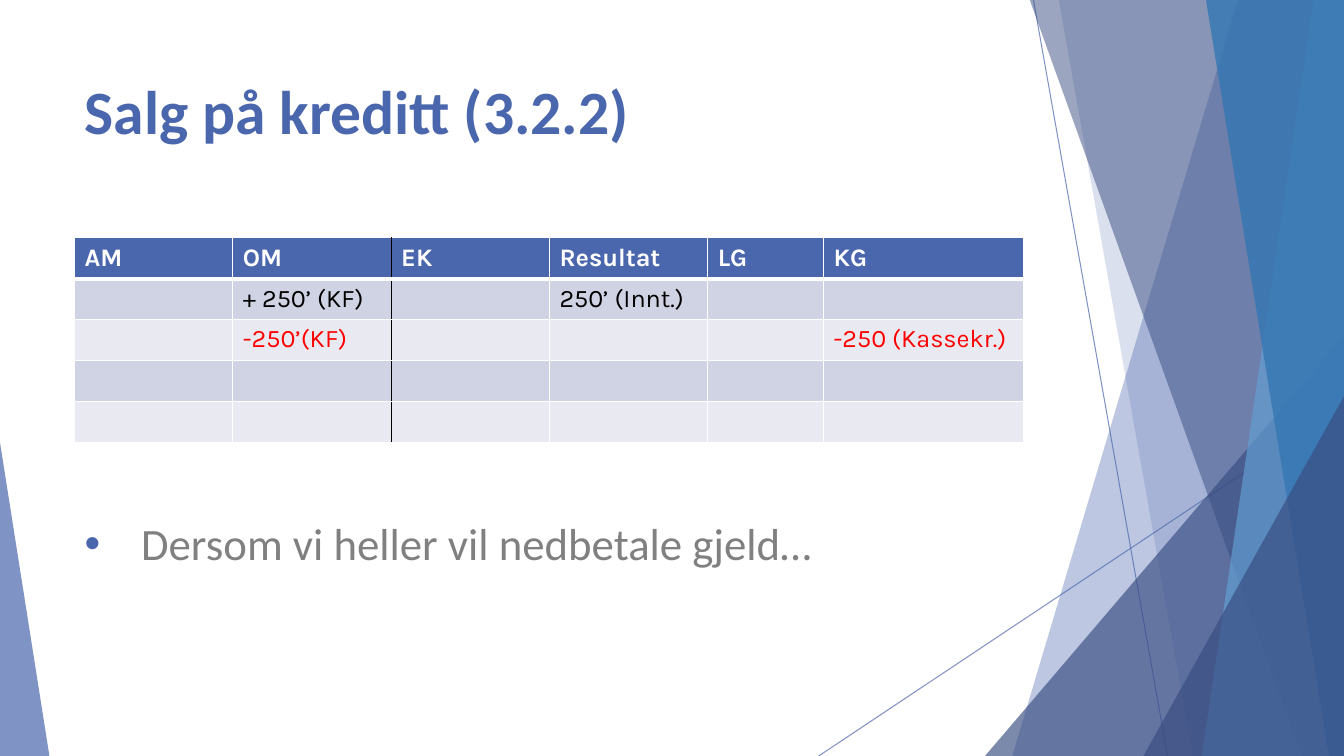
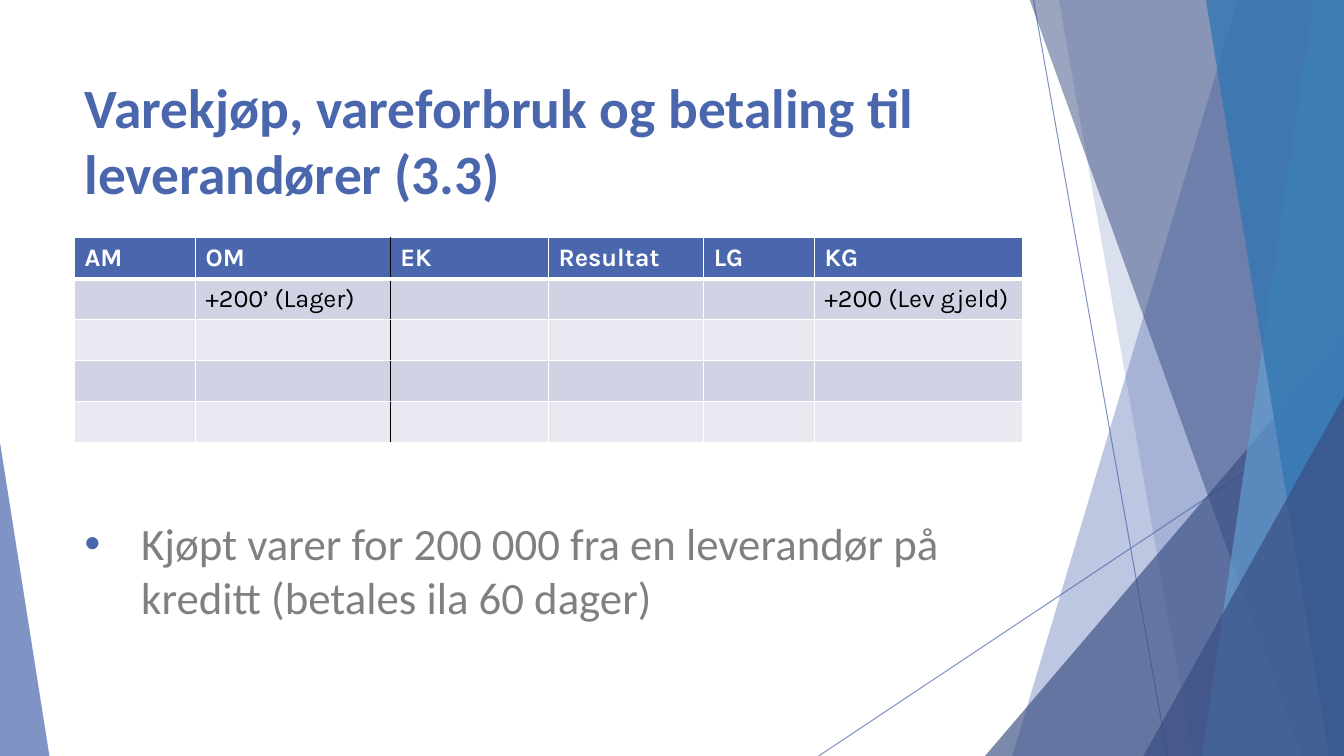
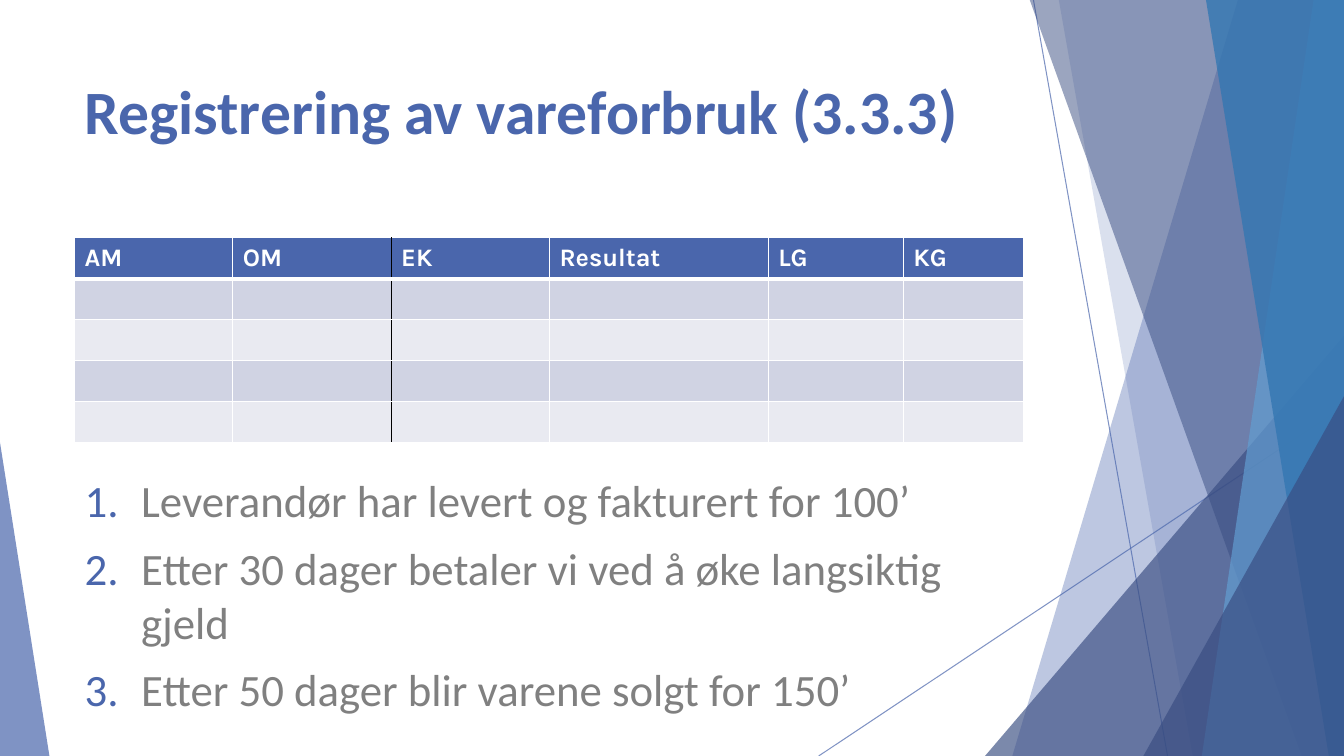
from dataclasses import dataclass

from lxml import etree
from pptx import Presentation
from pptx.dml.color import RGBColor
from pptx.enum.shapes import MSO_CONNECTOR, MSO_SHAPE
from pptx.enum.text import MSO_ANCHOR, MSO_AUTO_SIZE, PP_ALIGN
from pptx.oxml.ns import qn
from pptx.util import Pt

STRAIGHT = MSO_CONNECTOR.STRAIGHT
TRIANGLE = MSO_SHAPE.ISOSCELES_TRIANGLE
NO_AUTOFIT = MSO_AUTO_SIZE.NONE
TOP = MSO_ANCHOR.TOP
LEFT = PP_ALIGN.LEFT

PX = 9144  # EMU per px, 100 px to the inch
WIDTH, HEIGHT = 1333, 750
MARGIN, CONTENT_WIDTH = 74, 940
LIST_INDENT = 56
TABLE_TOP, TABLE_HEIGHT, ROW_COUNT = 236, 203, 5
ACCOUNTS = ["AM", "OM", "EK", "Resultat", "LG", "KG"]
ASSET_COUNT = 2  # columns left of the black divider


@dataclass(frozen=True)
class Theme:
    blue: str = "4A66AC"
    navy: str = "384C81"
    sky: str = "629DD1"
    ocean: str = "3477B2"
    grey: str = "808080"
    white: str = "FFFFFF"
    black: str = "000000"
    red: str = "FF0000"
    odd_row: str = "D0D3E3"
    even_row: str = "E9EAF1"
    text_font: str = "Calibri"
    table_font: str = "Karla"
    bullet_font: str = "Arial"
    title_size: float = 44
    long_title_size: float = 39.6
    list_size: float = 32
    table_size: float = 18
    list_gap: float = 10
    hairline: float = 0.75
    border: float = 1
    header_border: float = 3


THEME = Theme()


def rgb(colour):
    return RGBColor.from_string(colour)


def add_xml(parent, tag, **attributes):
    return etree.SubElement(parent, qn(tag), attributes)


def set_opacity(shape, percent):
    for colour in shape.element.spPr.iter(qn("a:srgbClr")):
        add_xml(colour, "a:alpha", val=str(percent * 1000))


def format_runs(paragraph, font, size, colour, bold=False):
    for run in paragraph.runs:
        run.font.name = font
        run.font.size = Pt(size)
        run.font.bold = bold
        run.font.color.rgb = rgb(colour)


def set_border(cell, side, colour, width):
    line = add_xml(cell._tc.get_or_add_tcPr(), f"a:ln{side}", w=str(Pt(width)))
    add_xml(add_xml(line, "a:solidFill"), "a:srgbClr", val=colour)


class Deck:
    """Holds the theme and the slide being built."""

    def __init__(self, theme):
        self.theme = theme
        self.presentation = Presentation()
        self.presentation.slide_width = WIDTH * PX
        self.presentation.slide_height = HEIGHT * PX
        self.slide = None
        self.backdrop = None

    def add_slide(self, title, size):
        layout = self.presentation.slide_layouts[1]
        self.slide = self.presentation.slides.add_slide(layout)
        self.add_backdrop()
        heading = self.slide.shapes.title
        frame = self.place(heading, 67, 144)
        frame.text = title
        frame.paragraphs[0].alignment = LEFT
        format_runs(frame.paragraphs[0], self.theme.text_font, size, self.theme.blue, True)

    def place(self, placeholder, top, height):
        """Move a placeholder into the content column and return its text frame."""
        placeholder.left, placeholder.top = MARGIN * PX, top * PX
        placeholder.width, placeholder.height = CONTENT_WIDTH * PX, height * PX
        frame = placeholder.text_frame
        frame.word_wrap = True
        frame.auto_size = NO_AUTOFIT
        frame.vertical_anchor = TOP
        return frame

    def add_backdrop(self):
        theme = self.theme
        group = self.slide.shapes.add_group_shape()
        self.backdrop = group.shapes
        self.add_ray(1025, 0, 1158, HEIGHT)
        self.add_ray(WIDTH, 403, 812, HEIGHT)
        self.add_band(1228, 1004, theme.blue, 36)
        self.add_band(1050, 1183, theme.blue, 20)
        self.add_triangle(977, 333, 356, 1, theme.navy, 66)
        self.add_band(1021, 1291, theme.navy, 50)
        self.add_band(1303, 1192, theme.sky, 70)
        self.add_band(1196, 1318, theme.ocean, 80)
        self.add_triangle(1134, 393, 199, 1, theme.navy, 66)
        self.add_triangle(0, 439, 49, 0, theme.blue, 70)
        self.slide.shapes.title.element.addprevious(group.element)

    def add_ray(self, x1, y1, x2, y2):
        ray = self.backdrop.add_connector(STRAIGHT, x1 * PX, y1 * PX, x2 * PX, y2 * PX)
        ray.line.color.rgb = rgb(self.theme.blue)
        ray.line.width = Pt(self.theme.hairline)
        set_opacity(ray, 70)
        add_xml(ray.element.spPr, "a:effectLst")

    def add_band(self, top_x, bottom_x, colour, opacity):
        """Full-height band from a slanted left edge to the slide's right edge."""
        outline = self.backdrop.build_freeform(top_x, -1, scale=PX)
        outline.add_line_segments([(WIDTH, -1), (WIDTH, HEIGHT), (bottom_x, HEIGHT)])
        self.tint(outline.convert_to_shape(), colour, opacity)

    def add_triangle(self, left, top, width, apex, colour, opacity):
        """Triangle standing on the slide's bottom edge."""
        triangle = self.backdrop.add_shape(
            TRIANGLE, left * PX, top * PX, width * PX, (HEIGHT - top) * PX)
        triangle.adjustments[0] = apex
        self.tint(triangle, colour, opacity)

    def tint(self, shape, colour, opacity):
        shape.shadow.inherit = False
        shape.line.fill.background()
        shape.fill.solid()
        shape.fill.fore_color.rgb = rgb(colour)
        set_opacity(shape, opacity)

    def add_ledger(self, column_widths, entries):
        """Account table; entries maps (row, account) to (text, colour)."""
        theme = self.theme
        table = self.slide.shapes.add_table(
            ROW_COUNT, len(ACCOUNTS), MARGIN * PX, TABLE_TOP * PX,
            CONTENT_WIDTH * PX, TABLE_HEIGHT * PX).table
        for column, width in zip(table.columns, column_widths):
            column.width = width * PX
        for row_index, row in enumerate(table.rows):
            row.height = TABLE_HEIGHT * PX // ROW_COUNT
            header = row_index == 0
            for column_index, account in enumerate(ACCOUNTS):
                cell = table.cell(row_index, column_index)
                self.rule_cell(cell, row_index, column_index)
                cell.fill.solid()
                stripe = theme.odd_row if row_index % 2 else theme.even_row
                cell.fill.fore_color.rgb = rgb(theme.blue if header else stripe)
                entry = (account, theme.white) if header else entries.get((row_index, account))
                if entry:
                    text, colour = entry
                    cell.text_frame.text = text
                    format_runs(cell.text_frame.paragraphs[0], theme.table_font,
                                theme.table_size, colour, header)

    def rule_cell(self, cell, row_index, column_index):
        theme = self.theme
        left = theme.black if column_index == ASSET_COUNT else theme.white
        right = theme.black if column_index == ASSET_COUNT - 1 else theme.white
        above = theme.header_border if row_index == 1 else theme.border
        below = theme.header_border if row_index == 0 else theme.border
        set_border(cell, "L", left, theme.border)
        set_border(cell, "R", right, theme.border)
        set_border(cell, "T", theme.white, above)
        set_border(cell, "B", theme.white, below)

    def add_list(self, items, top, height, numbered=False):
        theme = self.theme
        frame = self.place(self.slide.placeholders[1], top, height)
        for index, item in enumerate(items):
            paragraph = frame.add_paragraph() if index else frame.paragraphs[0]
            paragraph.text = item
            self.add_marker(paragraph, numbered)
            paragraph.space_before = Pt(theme.list_gap if index else 0)
            format_runs(paragraph, theme.text_font, theme.list_size, theme.grey)

    def add_marker(self, paragraph, numbered):
        properties = paragraph._p.get_or_add_pPr()
        properties.set("marL", str(LIST_INDENT * PX))
        properties.set("indent", str(-LIST_INDENT * PX))
        add_xml(add_xml(properties, "a:buClr"), "a:srgbClr", val=self.theme.blue)
        if numbered:
            add_xml(properties, "a:buFont", typeface=self.theme.text_font)
            add_xml(properties, "a:buAutoNum", type="arabicPeriod")
        else:
            add_xml(properties, "a:buFont", typeface=self.theme.bullet_font)
            add_xml(properties, "a:buChar", char="•")


def main():
    deck = Deck(THEME)

    deck.add_slide("Salg på kreditt (3.2.2)", THEME.title_size)
    deck.add_ledger([157, 157, 157, 157, 115, 198], {
        (1, "OM"): ("+ 250’ (KF)", THEME.black),
        (1, "Resultat"): ("250’ (Innt.)", THEME.black),
        (2, "OM"): ("-250’(KF)", THEME.red),
        (2, "KG"): ("-250 (Kassekr.)", THEME.red),
    })
    deck.add_list(["Dersom vi heller vil nedbetale gjeld…"], 507, 154)

    deck.add_slide("Varekjøp, vareforbruk og betaling til leverandører (3.3)",
                   THEME.long_title_size)
    deck.add_ledger([120, 193, 157, 154, 110, 206], {
        (1, "OM"): ("+200’ (Lager)", THEME.black),
        (1, "KG"): ("+200 (Lev gjeld)", THEME.black),
    })
    deck.add_list(["Kjøpt varer for 200 000 fra en leverandør på kreditt "
                   "(betales ila 60 dager)"], 507, 154)

    deck.add_slide("Registrering av vareforbruk (3.3.3)", THEME.title_size)
    deck.add_ledger([157, 157, 157, 217, 134, 119], {})
    deck.add_list([
        "Leverandør har levert og fakturert for 100’",
        "Etter 30 dager betaler vi ved å øke langsiktig gjeld",
        "Etter 50 dager blir varene solgt for 150’",
    ], 464, 286, numbered=True)

    deck.presentation.save("out.pptx")


if __name__ == "__main__":
    main()
